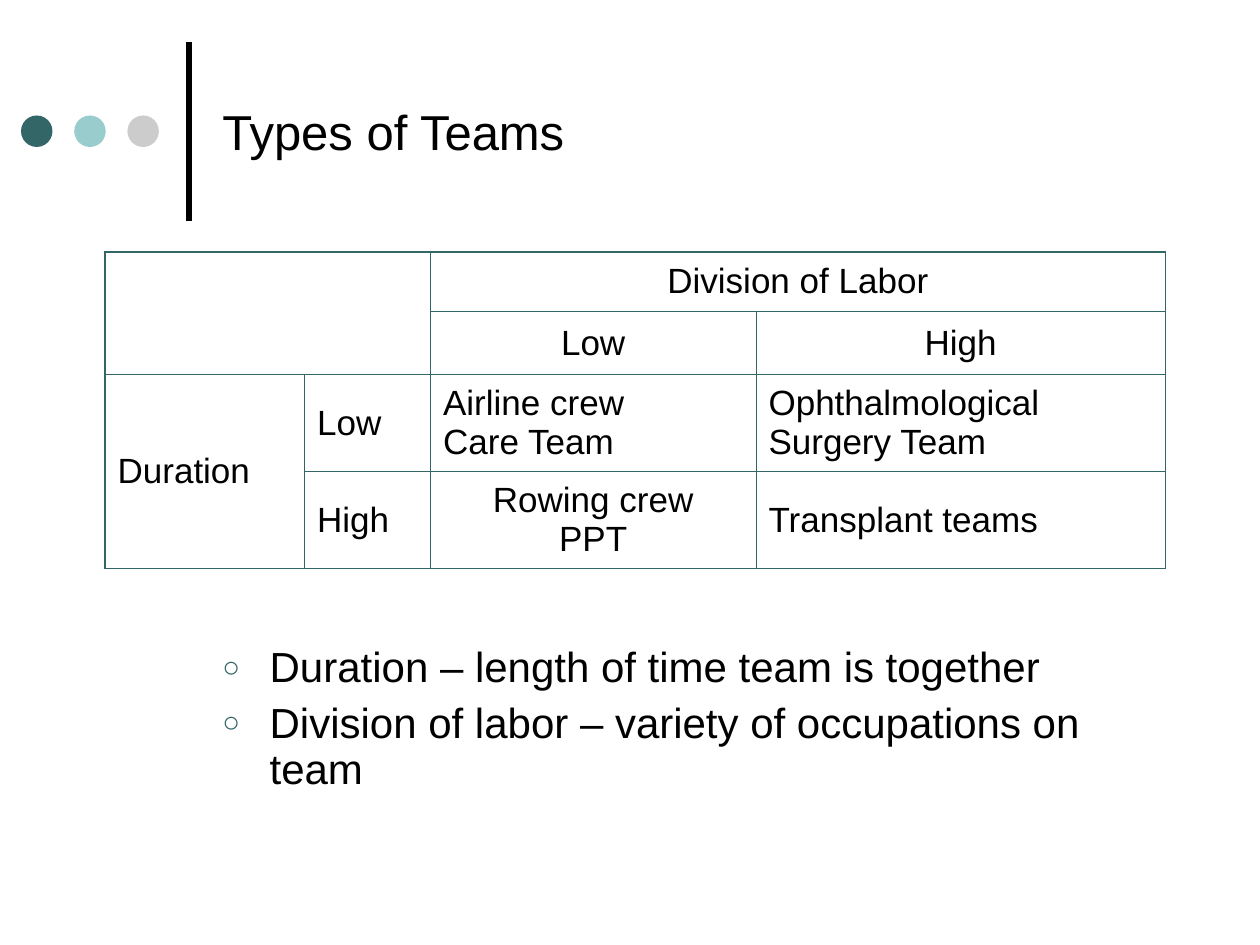
from dataclasses import dataclass
from typing import Any

from lxml.etree import SubElement
from pptx import Presentation
from pptx.dml.color import RGBColor
from pptx.enum.shapes import MSO_CONNECTOR, MSO_SHAPE
from pptx.enum.text import MSO_ANCHOR, PP_ALIGN
from pptx.oxml.ns import qn
from pptx.util import Pt


@dataclass(frozen=True)
class Theme:
    font: str = "Arial"
    ink: str = "000000"
    teal: str = "336666"
    aqua: str = "99CCCC"
    gray: str = "CCCCCC"
    title_size: float = 28
    body_size: float = 24
    table_size: float = 20
    rule_width: float = 3
    outer_border: float = 1.08
    inner_border: float = 0.45


@dataclass(frozen=True)
class Dot:
    left: float
    color: str


@dataclass(frozen=True)
class Entry:
    row: int
    column: int
    text: str = ""
    align: PP_ALIGN = PP_ALIGN.LEFT
    rows: int = 1
    columns: int = 1


THEME = Theme()
DOT_TOP, DOT_SIZE, DOT_LEFT, DOT_STEP = 66, 18, 12, 30.4
DOTS = [
    Dot(DOT_LEFT + index * DOT_STEP, color)
    for index, color in enumerate((THEME.teal, THEME.aqua, THEME.gray))
]
COLUMN_WIDTHS = (114, 72, 186, 234)
ROW_HEIGHTS = (34, 36, 55.5, 55.5)
ENTRIES = [
    Entry(0, 0, rows=2, columns=2),
    Entry(0, 2, "Division of Labor", PP_ALIGN.CENTER, columns=2),
    Entry(1, 2, "Low", PP_ALIGN.CENTER),
    Entry(1, 3, "High", PP_ALIGN.CENTER),
    Entry(2, 0, "Duration", rows=2),
    Entry(2, 1, "Low"),
    Entry(2, 2, "Airline crew\nCare Team"),
    Entry(2, 3, "Ophthalmological Surgery Team"),
    Entry(3, 1, "High"),
    Entry(3, 2, "Rowing crew\nPPT", PP_ALIGN.CENTER),
    Entry(3, 3, "Transplant teams"),
]
DEFINITIONS = (
    "Duration – length of time team is together",
    "Division of labor – variety of occupations on team",
)


def apply_format(target: Any, values: dict[str, Any]) -> None:
    for name, value in values.items():
        setattr(target, name, value)


def write(paragraph: Any, text: str, size: float) -> None:
    paragraph.text = text
    for span in paragraph.runs:
        apply_format(span.font, {"name": THEME.font, "size": Pt(size)})
        span.font.color.rgb = RGBColor.from_string(THEME.ink)


def add_box(page: Any, left: float, top: float, width: float, height: float,
            anchor: MSO_ANCHOR) -> Any:
    box = page.shapes.add_textbox(Pt(left), Pt(top), Pt(width), Pt(height))
    apply_format(box.text_frame, {"word_wrap": True, "vertical_anchor": anchor})
    return box.text_frame


def add_rule(page: Any) -> None:
    rule = page.shapes.add_connector(
        MSO_CONNECTOR.STRAIGHT, Pt(108), Pt(126), Pt(108), Pt(24))
    rule.line.width = Pt(THEME.rule_width)
    rule.line.color.rgb = RGBColor.from_string(THEME.ink)
    SubElement(rule.element.spPr, qn("a:effectLst"))


def add_dot(page: Any, dot: Dot) -> None:
    shape = page.shapes.add_shape(
        MSO_SHAPE.OVAL, Pt(dot.left), Pt(DOT_TOP), Pt(DOT_SIZE), Pt(DOT_SIZE))
    shape.shadow.inherit = False
    shape.fill.solid()
    shape.fill.fore_color.rgb = RGBColor.from_string(dot.color)
    shape.line.fill.background()


def add_bullet(paragraph: Any) -> None:
    properties = paragraph._p.get_or_add_pPr()
    properties.set("marL", str(Pt(27)))
    properties.set("indent", str(Pt(-27)))
    color = SubElement(properties, qn("a:buClr"))
    SubElement(color, qn("a:srgbClr"), val=THEME.teal)
    SubElement(properties, qn("a:buSzPct"), val="70000")
    SubElement(properties, qn("a:buFont"), typeface=THEME.font)
    SubElement(properties, qn("a:buChar"), char="○")


def add_definitions(page: Any) -> None:
    frame = add_box(page, 120, 366, 552, 108, MSO_ANCHOR.TOP)
    for index, text in enumerate(DEFINITIONS):
        paragraph = frame.add_paragraph() if index else frame.paragraphs[0]
        add_bullet(paragraph)
        apply_format(paragraph, {
            "line_spacing": 0.9, "space_before": Pt(6 if index else 0)})
        write(paragraph, text, THEME.body_size)


def set_borders(cell: Any, entry: Entry) -> None:
    outer_edges = {
        "L": entry.column == 0,
        "R": entry.column + entry.columns == len(COLUMN_WIDTHS),
        "T": entry.row == 0,
        "B": entry.row + entry.rows == len(ROW_HEIGHTS),
    }
    properties = cell._tc.get_or_add_tcPr()
    for side, outer in outer_edges.items():
        width = THEME.outer_border if outer else THEME.inner_border
        border = SubElement(properties, qn(f"a:ln{side}"), w=str(Pt(width)))
        fill = SubElement(border, qn("a:solidFill"))
        SubElement(fill, qn("a:srgbClr"), val=THEME.teal)


def fill_cell(table: Any, entry: Entry) -> None:
    cell = table.cell(entry.row, entry.column)
    if entry.rows * entry.columns > 1:
        cell.merge(table.cell(entry.row + entry.rows - 1,
                              entry.column + entry.columns - 1))
    apply_format(cell, {
        "vertical_anchor": MSO_ANCHOR.MIDDLE,
        "margin_left": Pt(7.2), "margin_right": Pt(7.2),
        "margin_top": Pt(3.6), "margin_bottom": Pt(3.6)})
    set_borders(cell, entry)
    paragraph = cell.text_frame.paragraphs[0]
    paragraph.alignment = entry.align
    write(paragraph, entry.text, THEME.table_size)


def add_team_table(page: Any) -> None:
    table = page.shapes.add_table(
        len(ROW_HEIGHTS), len(COLUMN_WIDTHS), Pt(60), Pt(144),
        Pt(sum(COLUMN_WIDTHS)), Pt(sum(ROW_HEIGHTS))).table
    apply_format(table, {"first_row": False, "horz_banding": False})
    for column, width in zip(table.columns, COLUMN_WIDTHS):
        column.width = Pt(width)
    for row, height in zip(table.rows, ROW_HEIGHTS):
        row.height = Pt(height)
    for entry in ENTRIES:
        fill_cell(table, entry)
    for cell in table.iter_cells():
        cell.fill.background()


def main() -> None:
    deck = Presentation()
    apply_format(deck, {"slide_width": Pt(720), "slide_height": Pt(540)})
    page = deck.slides.add_slide(deck.slide_layouts[6])
    add_rule(page)
    for dot in DOTS:
        add_dot(page, dot)
    title = add_box(page, 120, 15, 552, 120, MSO_ANCHOR.MIDDLE)
    write(title.paragraphs[0], "Types of Teams", THEME.title_size)
    add_definitions(page)
    add_team_table(page)
    deck.save("out.pptx")


if __name__ == "__main__":
    main()
